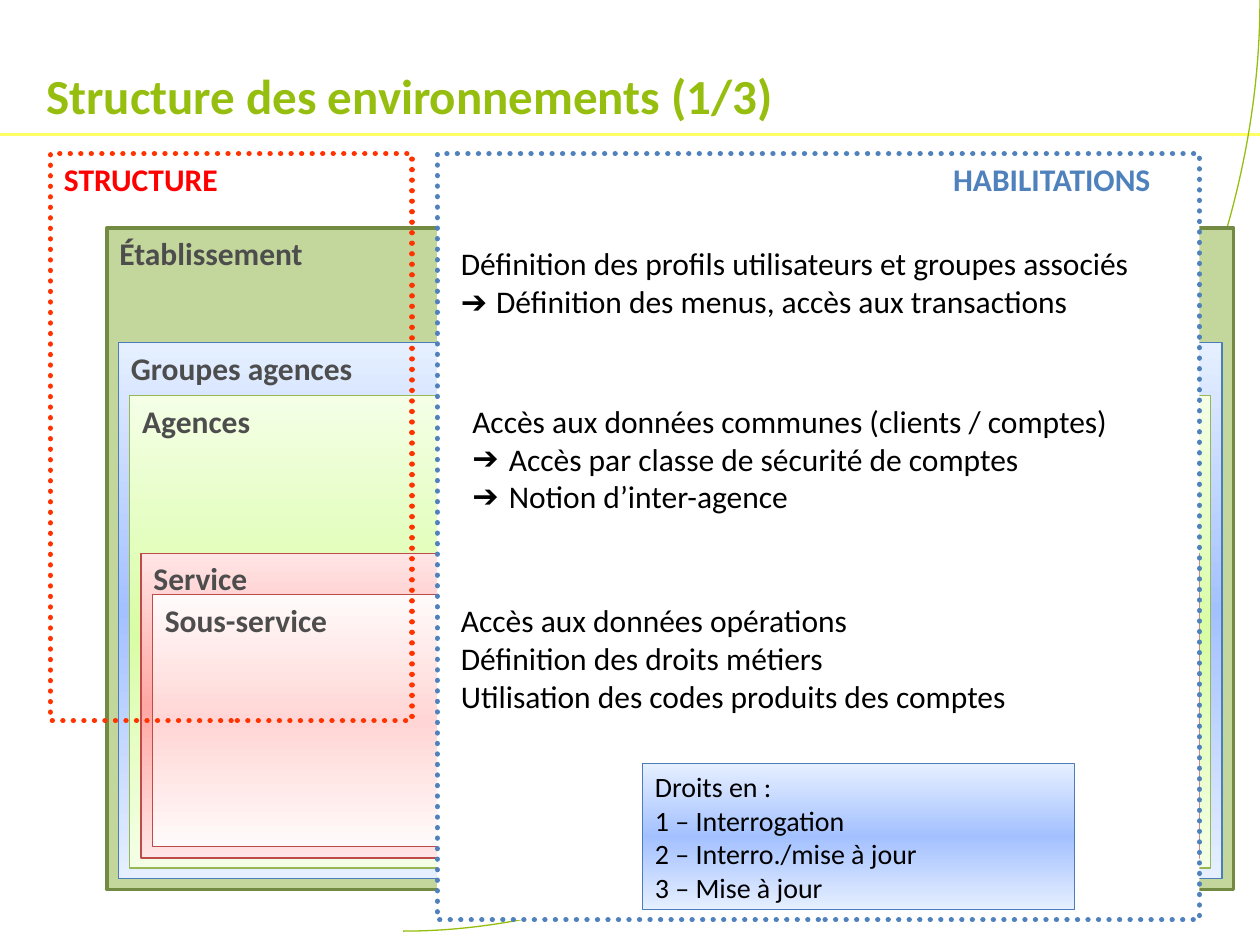
from copy import deepcopy

from lxml import etree
from pptx import Presentation
from pptx.dml.color import RGBColor
from pptx.enum.dml import MSO_LINE
from pptx.enum.shapes import MSO_CONNECTOR, MSO_SHAPE
from pptx.enum.text import MSO_ANCHOR, PP_ALIGN
from pptx.oxml.ns import qn
from pptx.util import Inches, Pt

RECTANGLE = MSO_SHAPE.RECTANGLE
STRAIGHT, CURVE = MSO_CONNECTOR.STRAIGHT, MSO_CONNECTOR.CURVE
ROUND_DOT = MSO_LINE.ROUND_DOT
LEFT, RIGHT = PP_ALIGN.LEFT, PP_ALIGN.RIGHT
TOP, MIDDLE = MSO_ANCHOR.TOP, MSO_ANCHOR.MIDDLE

GREEN, GREY, RED, BLUE = "96BE0F", "4D4D4D", "FF0000", "4F81BD"
BLUE_GRADIENT = ("E5EFFF", "A4C1FF")
BLUE_LINE = "4A7EBB"
ARROW = "➔"
LABEL_WIDTH, LABEL_HEIGHT = 1.96, 0.4
BULLET_INDENT = 0.29

TITLE = "Structure des environnements (1/3)"
LEVELS = [
    ("Établissement", 1.81, 5.25, "C3D69B", "728A41", 2),
    ("Groupes agences", 2.72, 4.25, BLUE_GRADIENT, BLUE_LINE, 0.75),
    ("Agences", 3.14, 3.75, ("F4FFE6", "D9FDA6"), "98B855", 0.75),
    ("Service", 4.39, 2.42, ("FFE5E5", "FFA7A4"), "BE4B48", 0.75),
    ("Sous-service", 4.72, 2, ("FFFAFA", "FFD6D5"), "BE4B48", 0.75),
]
LEVEL_LEFT, LEVEL_WIDTH, LEVEL_STEP = 0.85, 8.94, 0.09

RIGHTS = [
    ((3.56, 1.89, 5.96, 0.82), [
        "Définition des profils utilisateurs et groupes associés",
        [(ARROW + " ", "Arial"), ("Définition des menus, accès aux transactions", "Calibri")],
    ], ()),
    ((3.65, 3.14, 5.96, 1.25), [
        "Accès aux données communes (clients / comptes)",
        "Accès par classe de sécurité de comptes",
        "Notion d’inter-agence",
    ], (1, 2)),
    ((3.56, 4.72, 5.96, 1.25), [
        "Accès aux données opérations",
        "Définition des droits métiers",
        "Utilisation des codes produits des comptes",
    ], ()),
]
MODES = ["Droits en :", "1 – Interrogation", "2 – Interro./mise à jour", "3 – Mise à jour"]


def color(value):
    return RGBColor.from_string(value)


def write(shape, lines, size=18, ink="000000", bold=False, align=LEFT,
          anchor=TOP, bullets=()):
    frame = shape.text_frame
    frame.word_wrap = True
    frame.vertical_anchor = anchor
    for index, line in enumerate(lines):
        paragraph = frame.add_paragraph() if index else frame.paragraphs[0]
        paragraph.alignment = align
        if index in bullets:
            properties = paragraph._p.get_or_add_pPr()
            properties.set("marL", str(Inches(BULLET_INDENT)))
            properties.set("indent", str(-Inches(BULLET_INDENT)))
            etree.SubElement(properties, qn("a:buFont")).set("typeface", "Arial")
            etree.SubElement(properties, qn("a:buChar")).set("char", ARROW)
        runs = [(line, "Calibri")] if isinstance(line, str) else line
        for text, font_name in runs:
            run = paragraph.add_run()
            run.text = text
            run.font.name = font_name
            run.font.size = Pt(size)
            run.font.bold = bold
            run.font.color.rgb = color(ink)


def add_text(slide, box, lines, **text_format):
    shape = slide.shapes.add_textbox(*map(Inches, box))
    write(shape, lines, **text_format)


def add_label(slide, left, top, text, **text_format):
    add_text(slide, (left, top, LABEL_WIDTH, LABEL_HEIGHT), [text],
             bold=True, **text_format)


def fill_gradient(shape, edge, center):
    shape.fill.gradient()
    shape.fill.gradient_angle = 90
    stop_list = shape._element.spPr.find(".//" + qn("a:gsLst"))
    stop_list.insert(1, deepcopy(stop_list[0]))
    stops = zip(shape.fill.gradient_stops, (0, 0.5, 1), (edge, center, edge))
    for stop, position, value in stops:
        stop.position = position
        stop.color.rgb = color(value)


def add_box(slide, box, fill, line, width, dotted=False):
    shape = slide.shapes.add_shape(RECTANGLE, *map(Inches, box))
    shape.shadow.inherit = False
    if fill is None:
        shape.fill.background()
    elif isinstance(fill, tuple):
        fill_gradient(shape, *fill)
    else:
        shape.fill.solid()
        shape.fill.fore_color.rgb = color(fill)
    shape.line.color.rgb = color(line)
    shape.line.width = Pt(width)
    if dotted:
        shape.line.dash_style = ROUND_DOT
        shape._element.spPr.find(qn("a:ln")).set("cap", "rnd")
    return shape


def add_line(slide, kind, points, line, width):
    connector = slide.shapes.add_connector(kind, *map(Inches, points))
    connector.line.color.rgb = color(line)
    connector.line.width = Pt(width)
    etree.SubElement(connector._element.spPr, qn("a:effectLst"))
    return connector


def main():
    presentation = Presentation()
    presentation.slide_width, presentation.slide_height = Inches(10), Inches(7.5)
    slide = presentation.slides.add_slide(presentation.slide_layouts[6])

    add_line(slide, STRAIGHT, (10, 1.07, 0, 1.07), "FFFF66", 1.5)
    arc = add_line(slide, CURVE, (3.2, 7.39, 10, 0), GREEN, 0.75)
    arc._element.spPr.find(qn("a:prstGeom")).set("prst", "curvedConnector2")
    add_text(slide, (0.27, 0.13, 8.35, 1.25), [TITLE],
             size=28, ink=GREEN, bold=True, anchor=MIDDLE)
    add_label(slide, 0.41, 1.22, "STRUCTURE", ink=RED)

    for depth, (name, top, height, fill, line, width) in enumerate(LEVELS):
        inset = depth * LEVEL_STEP
        left = LEVEL_LEFT + inset
        add_box(slide, (left, top, LEVEL_WIDTH - 2 * inset, height), fill, line, width)
        add_label(slide, left, top, name, ink=GREY)

    add_box(slide, (3.47, 1.22, 6.05, 6.08), "FFFFFF", BLUE, 3, dotted=True)
    add_label(slide, 7.27, 1.22, "HABILITATIONS", ink=BLUE, align=RIGHT)
    add_box(slide, (0.4, 1.22, 2.87, 4.5), None, "FF3300", 3, dotted=True)
    for box, lines, bullets in RIGHTS:
        add_text(slide, box, lines, bullets=bullets)

    modes_box = add_box(slide, (5.1, 6.06, 3.43, 1.16), BLUE_GRADIENT, BLUE_LINE, 0.75)
    write(modes_box, MODES, size=16)
    presentation.save("out.pptx")


if __name__ == "__main__":
    main()
